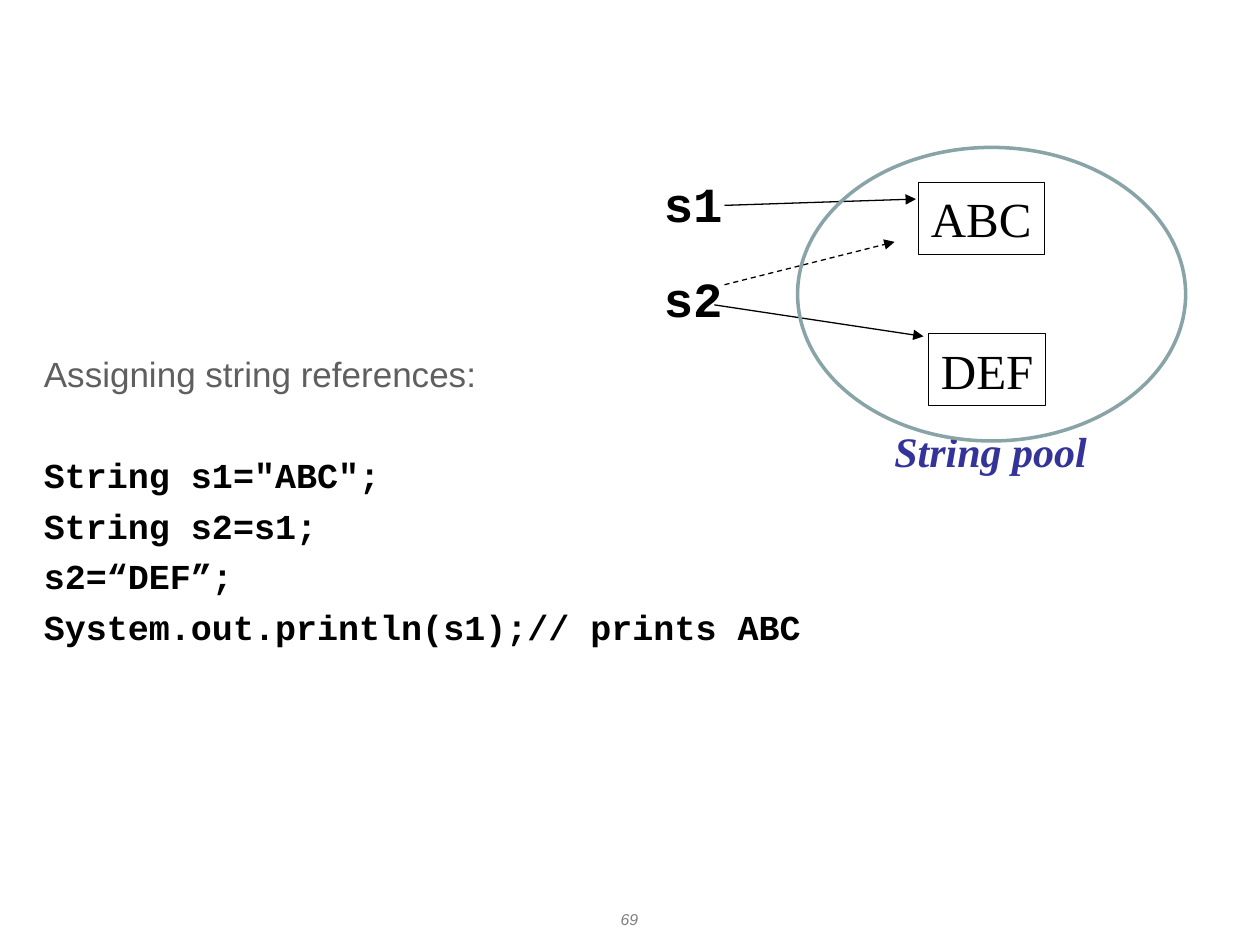
from lxml import etree
from pptx import Presentation
from pptx.dml.color import RGBColor
from pptx.enum.dml import MSO_LINE
from pptx.enum.shapes import MSO_CONNECTOR as CONNECTOR, MSO_SHAPE as SHAPE
from pptx.enum.text import MSO_ANCHOR as ANCHOR, MSO_AUTO_SIZE as AUTO_SIZE
from pptx.enum.text import PP_ALIGN as ALIGN
from pptx.oxml.ns import qn
from pptx.util import Inches, Pt

BLACK = "000000"
SERIF, SANS, MONO = "Times New Roman", "Arial", "Courier New"
CODE = [
    'String s1="ABC";',
    "String s2=s1;",
    "s2=“DEF”;",
    "System.out.println(s1);// prints ABC",
]


def color(hex_string):
    return RGBColor.from_string(hex_string)


def style(para, font, size, hex_string, bold=False, italic=False):
    for span in para.runs:
        span.font.name = font
        span.font.size = Pt(size)
        span.font.color.rgb = color(hex_string)
        span.font.bold = bold
        span.font.italic = italic


def add_text(page, bounds, lines, wrap=False):
    box = page.shapes.add_textbox(*map(Inches, bounds))
    frame = box.text_frame
    frame.word_wrap = wrap
    if not wrap:
        frame.auto_size = AUTO_SIZE.SHAPE_TO_FIT_TEXT
    frame.text = "\n".join(lines)
    return frame.paragraphs


def add_outline(page, kind, bounds, line_color, width):
    shape = page.shapes.add_shape(kind, *map(Inches, bounds))
    shape.shadow.inherit = False
    shape.fill.background()
    shape.line.color.rgb = color(line_color)
    shape.line.width = Pt(width)
    return shape


def add_value_box(page, bounds, text):
    box = add_outline(page, SHAPE.RECTANGLE, bounds, BLACK, 0.75)
    frame = box.text_frame
    frame.word_wrap = False
    frame.vertical_anchor = ANCHOR.TOP
    frame.text = text
    para = frame.paragraphs[0]
    para.alignment = ALIGN.LEFT
    style(para, SERIF, 28, BLACK)


def add_arrow(page, start, end, dashed=False):
    arrow = page.shapes.add_connector(
        CONNECTOR.STRAIGHT, *map(Inches, start + end))
    arrow.line.color.rgb = color(BLACK)
    arrow.line.width = Pt(0.75)
    if dashed:
        arrow.line.dash_style = MSO_LINE.DASH
    properties = arrow._element.spPr
    etree.SubElement(properties.find(qn("a:ln")), qn("a:tailEnd"), type="triangle")
    etree.SubElement(properties, qn("a:effectLst"))


def add_code_listing(page):
    heading, *code = add_text(
        page, (0.25, 2.75, 8.83, 2.83),
        ["Assigning string references:", *CODE], wrap=True)
    style(heading, SANS, 20, "5F5F5F")
    for para in code:
        para.space_before = Pt(5)
        style(para, MONO, 20, BLACK, bold=True)
    code[0].space_before = Pt(33.5)


def main():
    deck = Presentation()
    deck.slide_width, deck.slide_height = Inches(10), Inches(7.5)
    page = deck.slides.add_slide(deck.slide_layouts[6])

    # String pool and its values
    caption = add_text(page, (7, 3.33, 1.73, 0.5), ["String pool"])[0]
    style(caption, SERIF, 24, "333399", bold=True, italic=True)
    add_value_box(page, (7.29, 1.45, 1, 0.57), "ABC")
    add_value_box(page, (7.37, 2.65, 0.93, 0.57), "DEF")

    # Variables and their references
    for name, top in (("s1", 1.33), ("s2", 2.08)):
        label = add_text(page, (5.17, top, 0.68, 0.57), [name])[0]
        style(label, MONO, 28, BLACK, bold=True)
    add_arrow(page, (5.67, 2.42), (7.33, 2.67))
    add_arrow(page, (5.75, 2.26), (7.1, 1.92), dashed=True)
    add_arrow(page, (5.75, 1.63), (7.27, 1.58))

    add_code_listing(page)

    # Pool outline, in front of the arrows
    add_outline(page, SHAPE.OVAL, (6.33, 1.17, 3.08, 2.33), "89A4A7", 2)

    # Page number
    number = add_text(page, (3.83, 7.17, 2.33, 0.26), ["69"], wrap=True)[0]
    number.alignment = ALIGN.CENTER
    style(number, SANS, 9, "808080", italic=True)

    deck.save("out.pptx")


if __name__ == "__main__":
    main()
